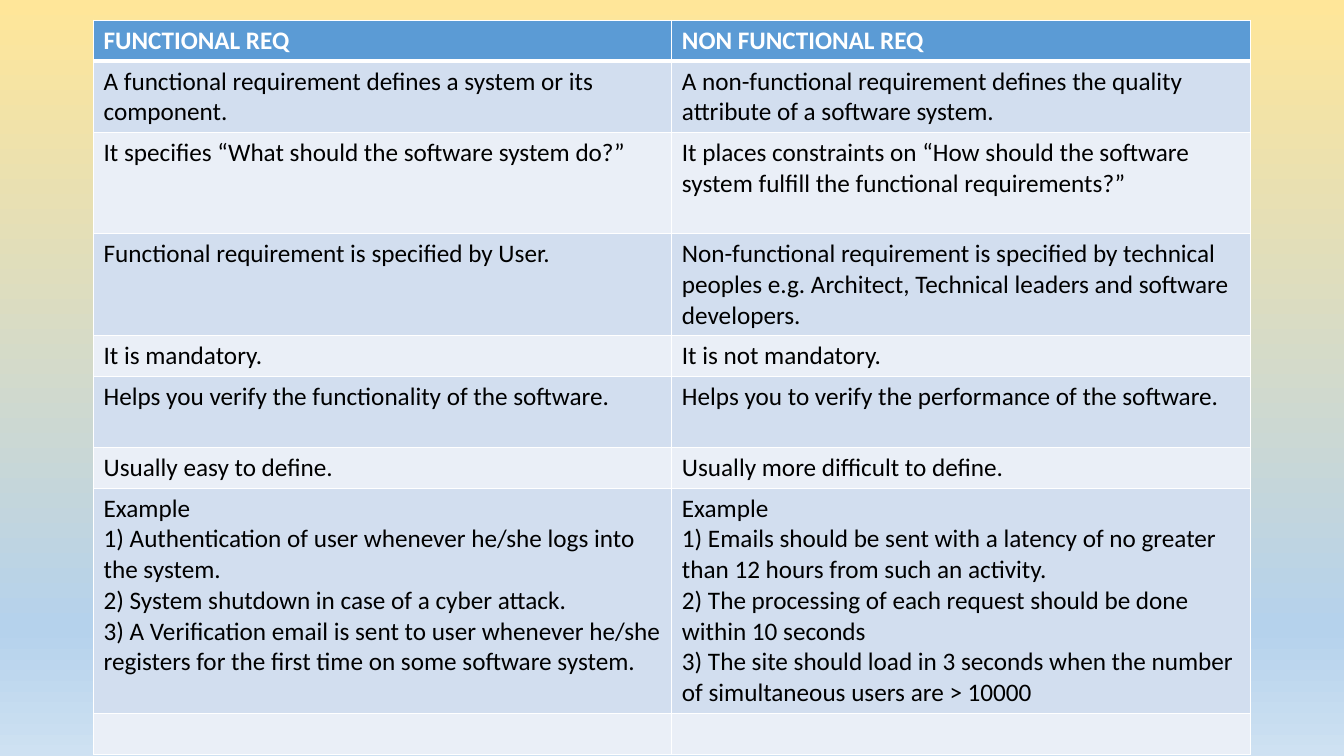
from lxml.etree import SubElement
from pptx import Presentation
from pptx.dml.color import RGBColor
from pptx.oxml import parse_xml
from pptx.oxml.ns import nsdecls, qn
from pptx.util import Pt

BACKGROUND_STOPS = [(0, "FFE699"), (83, "B5D2EC"), (100, "CEE1F2")]
HEADER_FILL = "5B9BD5"
BAND_FILLS = ["EAEFF7", "D2DEEF"]
WHITE, BLACK = "FFFFFF", "000000"

# Row height, functional text, non-functional text; a line break starts a paragraph.
COMPARISON = [
    (28.8, "FUNCTIONAL REQ", "NON FUNCTIONAL REQ"),
    (50.4, "A functional requirement defines a system or its component.",
     "A non-functional requirement defines the quality attribute of a software system."),
    (72, "It specifies “What should the software system do?”",
     "It places constraints on “How should the software system fulfill "
     "the functional requirements?”"),
    (72, "Functional requirement is specified by User.",
     "Non-functional requirement is specified by technical peoples e.g. Architect, "
     "Technical leaders and software developers."),
    (28.8, "It is mandatory.", "It is not mandatory."),
    (50.4, "Helps you verify the functionality of the software.",
     "Helps you to verify the performance of the software."),
    (28.8, "Usually easy to define.", "Usually more difficult to define."),
    (158.4, "Example\n"
     "1) Authentication of user whenever he/she logs into the system.\n"
     "2) System shutdown in case of a cyber attack.\n"
     "3) A Verification email is sent to user whenever he/she registers "
     "for the first time on some software system.",
     "Example\n"
     "1) Emails should be sent with a latency of no greater than 12 hours "
     "from such an activity.\n"
     "2) The processing of each request should be done within 10 seconds\n"
     "3) The site should load in 3 seconds when the number of simultaneous "
     "users are > 10000"),
    (28.8, "", ""),
]


def color(hex_code):
    return RGBColor.from_string(hex_code)


def paint_background(slide):
    fill = slide.background.fill
    fill.gradient()
    fill.gradient_angle = 270
    stops = slide.element.find(".//" + qn("a:gsLst"))
    for default_stop in list(stops):
        stops.remove(default_stop)
    for percent, hex_code in BACKGROUND_STOPS:
        stop = SubElement(stops, qn("a:gs"), pos=str(percent * 1000))
        SubElement(stop, qn("a:srgbClr"), val=hex_code)


def add_borders(cell, top, bottom):
    """Draw white borders; the sides are 1 point wide."""
    properties = cell._tc.get_or_add_tcPr()
    widths = {"lnL": 1, "lnR": 1, "lnT": top, "lnB": bottom}
    for position, (side, width) in enumerate(widths.items()):
        properties.insert(position, parse_xml(
            f'<a:{side} {nsdecls("a")} w="{Pt(width)}"><a:solidFill>'
            f'<a:srgbClr val="{WHITE}"/></a:solidFill></a:{side}>'))


def fill_cell(cell, wording, row):
    is_header = row == 0
    cell.text_frame.text = wording
    for paragraph in cell.text_frame.paragraphs:
        font = paragraph.font
        font.name, font.size, font.bold = "Calibri", Pt(18), is_header
        font.color.rgb = color(WHITE if is_header else BLACK)
        for run in paragraph.runs:
            run.font.name, run.font.size, run.font.bold = "Calibri", Pt(18), is_header
            run.font.color.rgb = color(WHITE if is_header else BLACK)
    cell.fill.solid()
    cell.fill.fore_color.rgb = color(HEADER_FILL if is_header else BAND_FILLS[row % 2])
    add_borders(cell, top=3 if row == 1 else 1, bottom=3 if is_header else 1)


def add_comparison(slide, left, top, width):
    height = sum(row_height for row_height, *_ in COMPARISON)
    table = slide.shapes.add_table(
        len(COMPARISON), 2, Pt(left), Pt(top), Pt(width), Pt(height)).table
    for row, (row_height, *wordings) in enumerate(COMPARISON):
        table.rows[row].height = Pt(row_height)
        for column, wording in enumerate(wordings):
            fill_cell(table.cell(row, column), wording, row)


def main():
    deck = Presentation()
    deck.slide_width, deck.slide_height = Pt(960), Pt(540)
    slide = deck.slides.add_slide(deck.slide_layouts[6])
    paint_background(slide)
    add_comparison(slide, left=66.8, top=14.4, width=826.2)
    deck.save("out.pptx")


if __name__ == "__main__":
    main()
